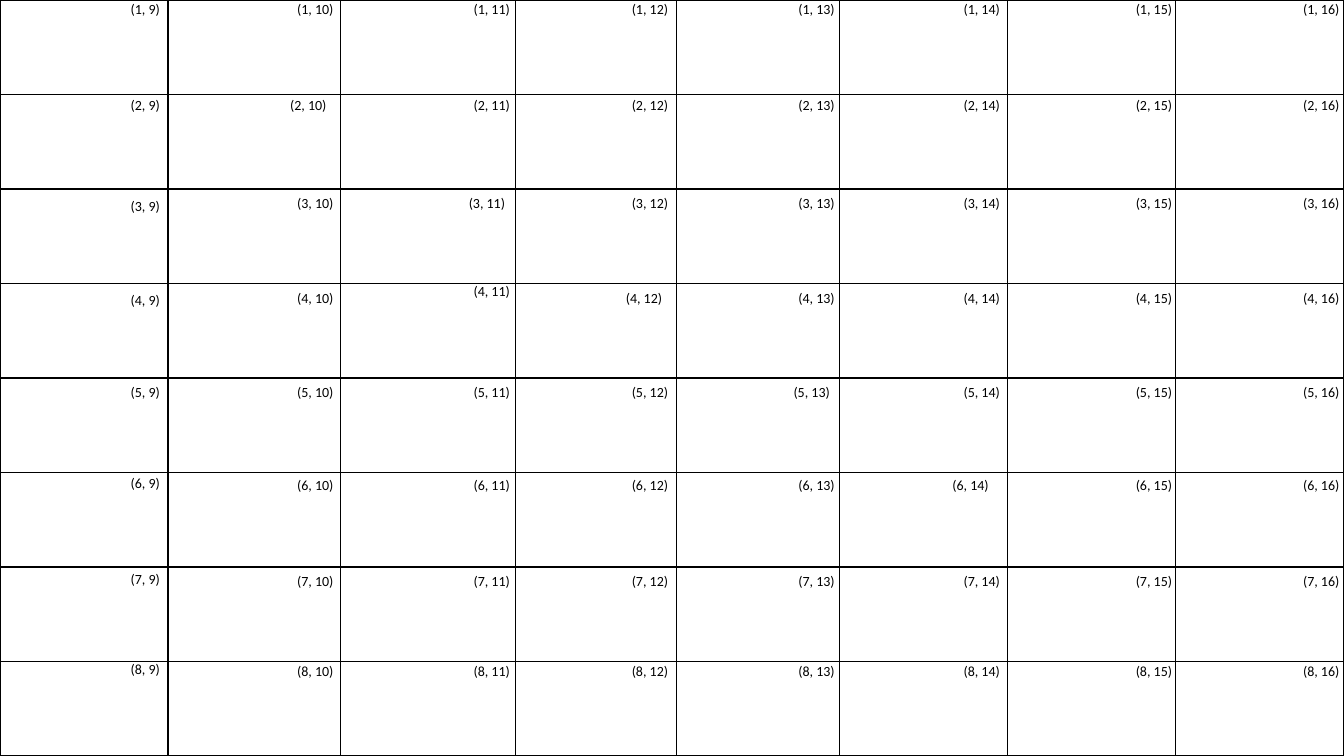
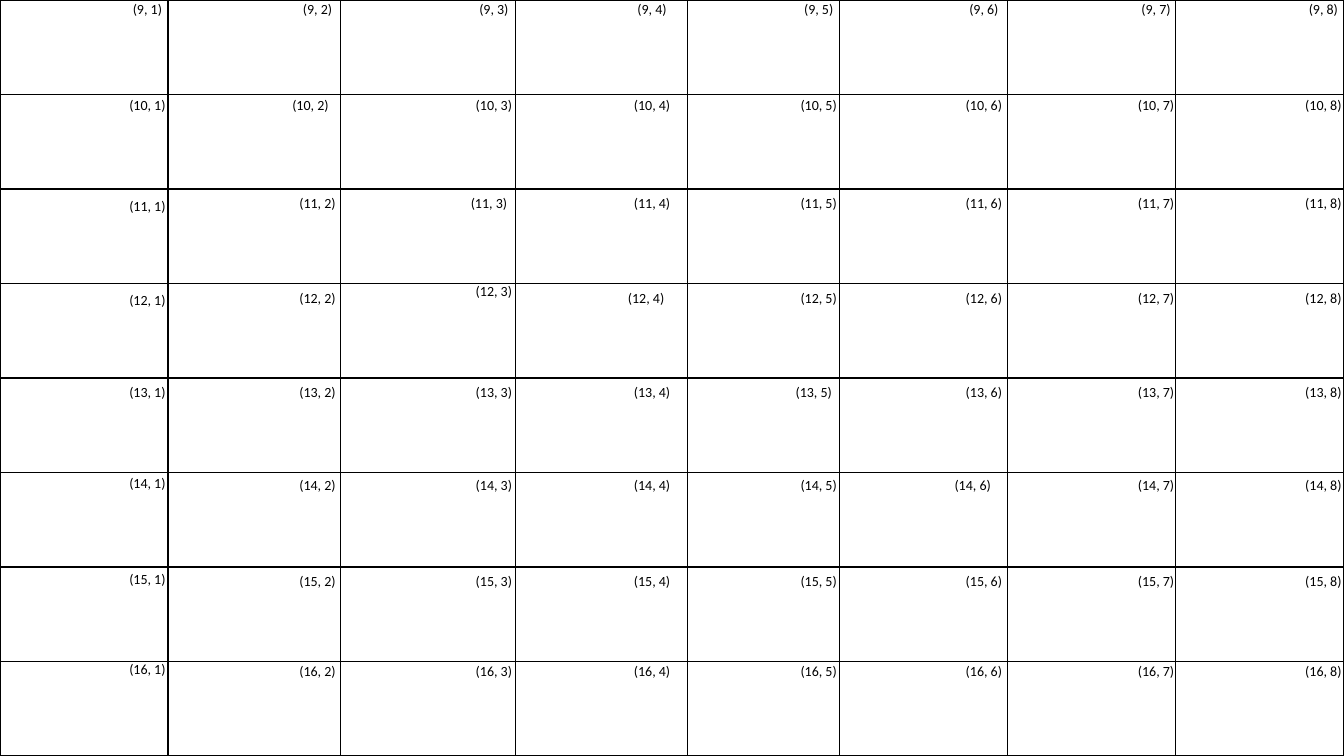
from lxml.etree import SubElement
from pptx import Presentation
from pptx.dml.color import RGBColor
from pptx.enum.text import MSO_AUTO_SIZE as AutoSize, PP_ALIGN as Align
from pptx.oxml.ns import qn
from pptx.util import Pt

BLACK = RGBColor(0x00, 0x00, 0x00)
WHITE = RGBColor(0xFF, 0xFF, 0xFF)
FONT = "Calibri"
SIZE = 8  # rows and columns in each grid
SLIDE_BOX = (0, 0, 960, 540)

# Label places, measured from the top left corner of the grid
LABEL_LEFTS = (80, 201.5, 327.5, 440.5, 559.5, 677.5, 800.5, 920)
LABEL_TOPS = (-3, 65.5, 135.5, 203, 270.5, 337, 405.5, 469.5)
FIRST_COLUMN_TOPS = (-3, 65.5, 137.5, 204.5, 270.5, 335.5, 404, 468.5)
RAISED_LABEL, RAISED_TOP = (3, 2), 198
LABEL_WIDTH, LABEL_HEIGHT = 47.5, 19.5
# Extra room to the left of the labels on the diagonal
DIAGONAL_STRETCH = (0, 10, 7, 8.5, 7, 16, 0, 0)


def style_cell(cell):
    """Give a cell a white fill and thin black borders."""
    properties = cell._tc.get_or_add_tcPr()
    for side in ("a:lnL", "a:lnR", "a:lnT", "a:lnB"):
        line = SubElement(properties, qn(side), w=str(Pt(1)))
        fill = SubElement(line, qn("a:solidFill"))
        SubElement(fill, qn("a:srgbClr"), val=str(BLACK))
    cell.fill.solid()
    cell.fill.fore_color.rgb = WHITE


def add_grid(slide, box, column_widths):
    """Fill the box with an empty table of equal rows."""
    table = slide.shapes.add_table(SIZE, SIZE, *map(Pt, box)).table
    table.first_row = table.horz_banding = False
    for column, width in zip(table.columns, column_widths):
        column.width = Pt(width)
    for row in table.rows:
        row.height = Pt(box[3] / SIZE)
    for cell in table.iter_cells():
        style_cell(cell)


def add_label(slide, box, text):
    """Place one small centred label."""
    label = slide.shapes.add_textbox(*map(Pt, box))
    frame = label.text_frame
    frame.word_wrap = True
    frame.auto_size = AutoSize.SHAPE_TO_FIT_TEXT
    paragraph = frame.paragraphs[0]
    paragraph.text = text
    paragraph.alignment = Align.CENTER
    paragraph.font.name = FONT
    paragraph.font.size = Pt(10)
    paragraph.font.color.rgb = BLACK


def label_box(row, column):
    """Return the box of a label, relative to the grid."""
    tops = LABEL_TOPS if column else FIRST_COLUMN_TOPS
    top = RAISED_TOP if (row, column) == RAISED_LABEL else tops[row]
    stretch = DIAGONAL_STRETCH[row] if row == column else 0
    return LABEL_LEFTS[column] - stretch, top, LABEL_WIDTH + stretch, LABEL_HEIGHT


def add_coordinate_slide(presentation, box, column_widths, first_row,
                         first_column, label_shift=0):
    """Add a slide whose grid cells carry (row, column) labels."""
    slide = presentation.slides.add_slide(presentation.slide_layouts[6])
    add_grid(slide, box, column_widths)
    for row in range(SIZE):
        for column in range(SIZE):
            left, top, width, height = label_box(row, column)
            place = (box[0] + left + label_shift, box[1] + top,
                     width + label_shift, height)
            add_label(slide, place,
                      f"({first_row + row}, {first_column + column})")


presentation = Presentation()
presentation.slide_width, presentation.slide_height = map(Pt, SLIDE_BOX[2:])
add_coordinate_slide(presentation, SLIDE_BOX,
                     (120, 123.5, 125, 114.5, 117, 120, 120, 120),
                     first_row=1, first_column=9)
add_coordinate_slide(presentation, SLIDE_BOX,
                     (120, 123.5, 125, 122.5, 109, 120, 120, 120),
                     first_row=9, first_column=1, label_shift=1)
presentation.save("out.pptx")
